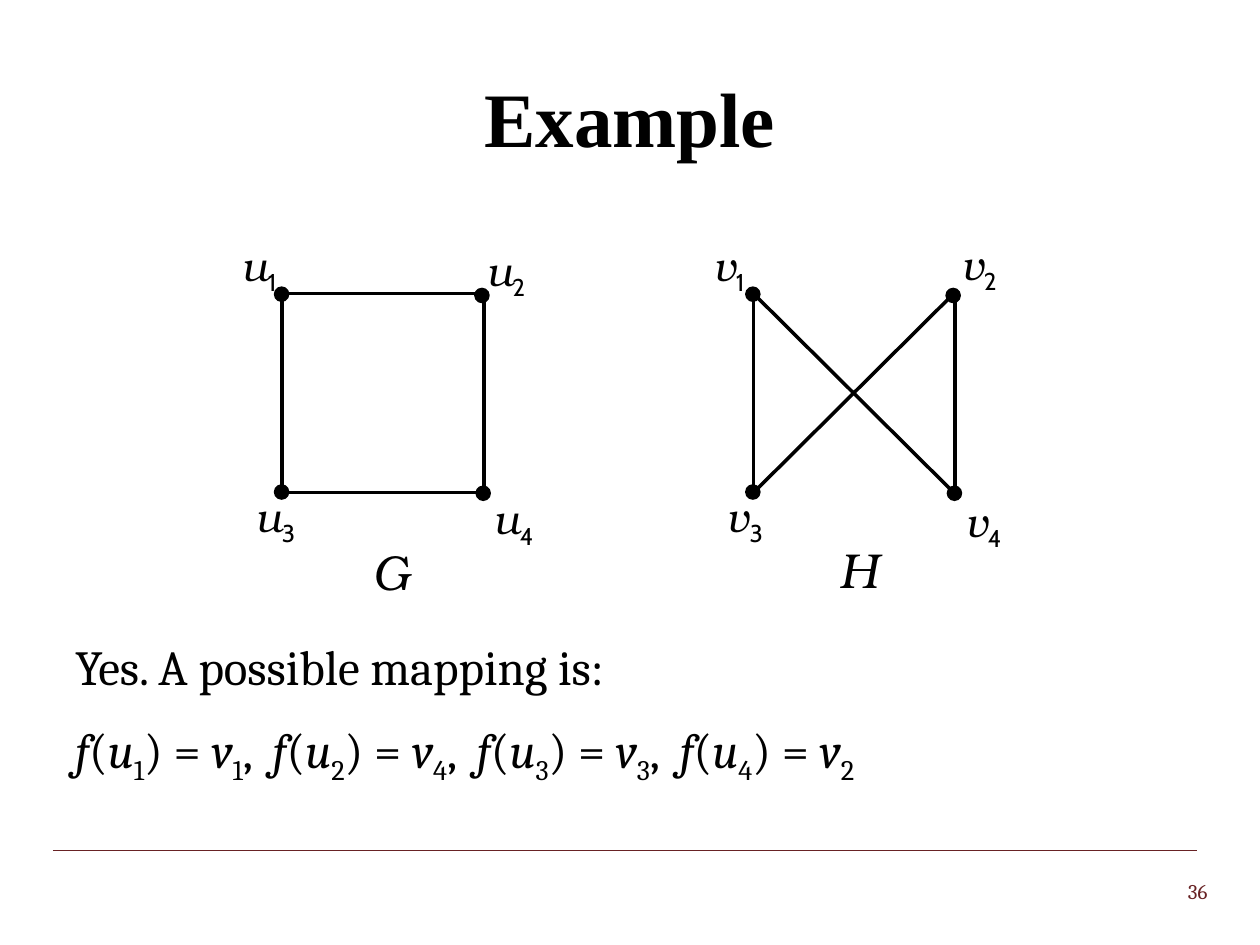
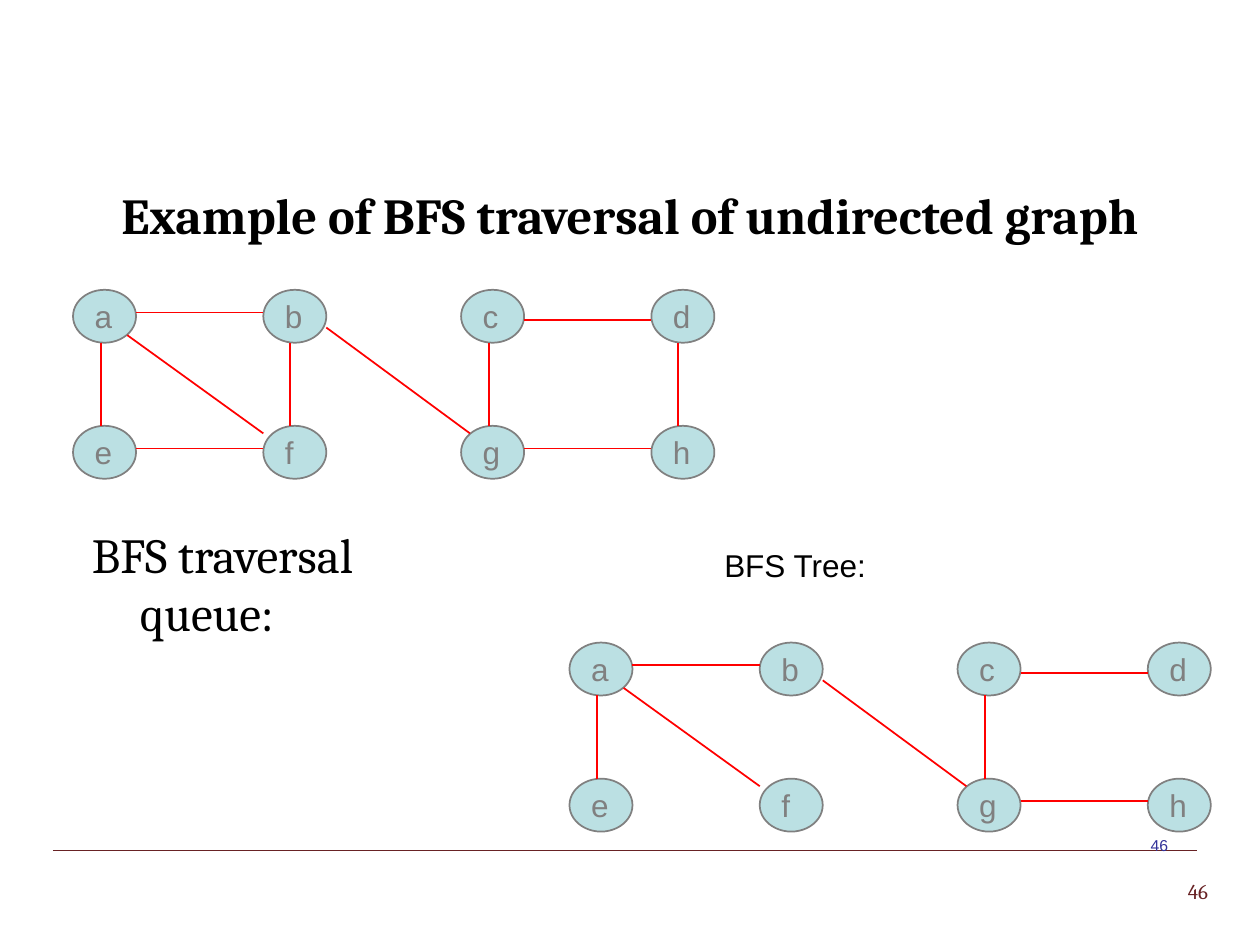
"""Build two graph theory slides: an isomorphism example and a BFS traversal."""
from lxml.etree import SubElement
from pptx import Presentation
from pptx.dml.color import RGBColor
from pptx.enum.shapes import MSO_CONNECTOR, MSO_SHAPE
from pptx.enum.text import MSO_ANCHOR, MSO_AUTO_SIZE, PP_ALIGN
from pptx.oxml.ns import qn
from pptx.util import Inches, Pt

BLACK = RGBColor(0x00, 0x00, 0x00)
MAROON = RGBColor(0x68, 0x22, 0x24)
NAVY = RGBColor(0x33, 0x33, 0x99)
GRAY = RGBColor(0x80, 0x80, 0x80)
PALE_TEAL = RGBColor(0xBB, 0xE0, 0xE3)
RED = RGBColor(0xFF, 0x00, 0x00)

SERIF = "Cambria"
SANS = "Arial"
MATH = "TeX Gyre Bonum"
SUBSCRIPT = "Cabin"

GRAPH_ORIGIN = (2.18, 2.28)
GRAPH_STEP = 3.74
VERTICES = [(0, 0), (1.59, 0.01), (0, 1.57), (1.6, 1.58)]
SIDES = [(0.06, 0.06, 0.06, 1.61), (1.66, 0.08, 1.66, 1.63)]
GRAPHS = [
    {
        "letter": "u",
        "edges": SIDES + [(1.65, 1.63, 0.06, 1.63), (1.65, 0.05, 0.06, 0.05)],
        "labels": [(-0.26, -0.38), (1.68, -0.34), (-0.15, 1.61), (1.74, 1.63)],
        "name": ("G", 2.96, 4.3),
    },
    {
        "letter": "v",
        "edges": SIDES + [(1.66, 0.04, 0.06, 1.63), (1.64, 1.62, 0.06, 0.05)],
        "labels": [(-0.26, -0.38), (1.71, -0.39), (-0.15, 1.61), (1.74, 1.65)],
        "name": ("H", 6.66, 4.28),
    },
]
MAPPING = {"1": "1", "2": "4", "3": "3", "4": "2"}

NODE_COLUMNS = [0, 1.51, 3.08, 4.59]
NODE_ROWS = {"abcd": 0, "efgh": 1.08}
BFS_EDGES = {
    "ab": (0.5, 0.18, 1.51, 0.18),
    "ae": (0.22, 0.42, 0.22, 1.08),
    "ef": (0.5, 1.26, 1.51, 1.26),
    "bf": (1.72, 0.42, 1.72, 1.08),
    "af": (0.43, 0.36, 1.51, 1.14),
    "cg": (3.3, 0.42, 3.3, 1.08),
    "gh": (3.58, 1.26, 4.59, 1.26),
    "dh": (4.8, 0.42, 4.8, 1.08),
    "cd": (3.58, 0.24, 4.59, 0.24),
    "bg": (2.01, 0.3, 3.15, 1.14),
}
TREE_EDGES = ["ab", "ae", "af", "cg", "gh", "cd", "bg"]


class Deck:
    """Holds the shared style and the slide being built."""

    def __init__(self):
        self.presentation = Presentation()
        self.presentation.slide_width = Inches(10)
        self.presentation.slide_height = Inches(7.5)
        self.slide = None

    def start_slide(self, layout, number):
        self.slide = self.presentation.slides.add_slide(
            self.presentation.slide_layouts[layout])
        self.line(0.42, 6.75, 9.5, 6.75, MAROON, 0.75)
        self.text(number, 9.33, 6.92, 0.4, 0.3, SERIF, 12, MAROON, wrap=False)

    def style(self, paragraph, font, size, color, bold=None):
        paragraph.font.name = font
        paragraph.font.size = Pt(size)
        paragraph.font.color.rgb = color
        paragraph.font.bold = bold

    def place(self, shape, left, top, width, height):
        shape.left, shape.top = Inches(left), Inches(top)
        shape.width, shape.height = Inches(width), Inches(height)

    def title(self, words, left, top, width, height, font, size):
        shape = self.slide.shapes.title
        self.place(shape, left, top, width, height)
        frame = shape.text_frame
        frame.text = words
        frame.auto_size = MSO_AUTO_SIZE.NONE
        frame.vertical_anchor = MSO_ANCHOR.MIDDLE
        frame.paragraphs[0].alignment = PP_ALIGN.CENTER
        self.style(frame.paragraphs[0], font, size, BLACK, True)

    def body(self, words, left, top, width, height):
        shape = self.slide.placeholders[1]
        self.place(shape, left, top, width, height)
        frame = shape.text_frame
        frame.text = words
        frame.auto_size = MSO_AUTO_SIZE.NONE
        paragraph = frame.paragraphs[0]
        paragraph.space_before = Pt(0)
        properties = paragraph._p.get_or_add_pPr()
        properties.set("marL", str(Inches(0.38)))
        properties.set("indent", str(-Inches(0.38)))
        SubElement(properties, qn("a:buNone"))
        self.style(paragraph, SERIF, 28, BLACK)

    def text(self, words, left, top, width, height, font, size, color=BLACK,
             wrap=True, anchor=MSO_ANCHOR.TOP, align=PP_ALIGN.LEFT):
        box = self.slide.shapes.add_textbox(
            Inches(left), Inches(top), Inches(width), Inches(height))
        frame = box.text_frame
        frame.text = words
        frame.word_wrap = wrap
        frame.vertical_anchor = anchor
        paragraph = frame.paragraphs[0]
        paragraph.alignment = align
        self.style(paragraph, font, size, color)
        return frame

    def run(self, paragraph, words, italic=False, subscript=False, spacing=0):
        run = paragraph.add_run()
        run.text = words
        run.font.italic = italic
        properties = run._r.get_or_add_rPr()
        if subscript:
            properties.set("baseline", "-25000")
        if spacing:
            properties.set("spc", str(spacing))
        return run

    def math_label(self, letter, left, top, width, height, size, index=""):
        frame = self.text("", left, top, width, height, MATH, size)
        frame.margin_left = frame.margin_right = 0
        frame.margin_top = frame.margin_bottom = 0
        paragraph = frame.paragraphs[0]
        self.run(paragraph, letter, italic=True)
        if index:
            self.run(paragraph, index, subscript=True).font.name = SUBSCRIPT

    def mapping(self, paragraph):
        for position, (source, target) in enumerate(MAPPING.items()):
            if position:
                self.run(paragraph, ", ", spacing=300)
            self.run(paragraph, "f", italic=True)
            self.run(paragraph, "(")
            self.run(paragraph, "u", italic=True)
            self.run(paragraph, source, subscript=True)
            self.run(paragraph, ") = ")
            self.run(paragraph, "v", italic=True)
            self.run(paragraph, target, subscript=True)

    def line(self, x1, y1, x2, y2, color, width):
        connector = self.slide.shapes.add_connector(
            MSO_CONNECTOR.STRAIGHT, Inches(x1), Inches(y1), Inches(x2), Inches(y2))
        connector.line.color.rgb = color
        connector.line.width = Pt(width)
        SubElement(connector._element.spPr, qn("a:effectLst"))

    def edge(self, origin, ends, color, width):
        x, y = origin
        x1, y1, x2, y2 = ends
        self.line(x + x1, y + y1, x + x2, y + y2, color, width)

    def ellipse(self, left, top, width, height, fill, outline):
        shape = self.slide.shapes.add_shape(
            MSO_SHAPE.OVAL, Inches(left), Inches(top), Inches(width), Inches(height))
        shape.shadow.inherit = False
        shape.fill.solid()
        shape.fill.fore_color.rgb = fill
        shape.line.color.rgb = outline
        shape.line.width = Pt(1)
        return shape

    def node(self, letter, left, top):
        frame = self.ellipse(left, top, 0.5, 0.42, PALE_TEAL, GRAY).text_frame
        frame.text = letter
        frame.word_wrap = False
        frame.vertical_anchor = MSO_ANCHOR.MIDDLE
        frame.paragraphs[0].alignment = PP_ALIGN.LEFT
        self.style(frame.paragraphs[0], SANS, 18, GRAY)

    def vertex_graph(self, origin, graph):
        x, y = origin
        for dx, dy in VERTICES:
            self.ellipse(x + dx, y + dy, 0.11, 0.11, BLACK, BLACK)
        for ends in graph["edges"]:
            self.edge(origin, ends, BLACK, 2)
        for index, (dx, dy) in enumerate(graph["labels"], 1):
            self.math_label(graph["letter"], x + dx, y + dy, 0.5, 0.39, 24, str(index))
        name, left, top = graph["name"]
        self.math_label(name, left, top, 0.32, 0.45, 28)

    def node_graph(self, origin, edges):
        x, y = origin
        for letters, dy in NODE_ROWS.items():
            for letter, dx in zip(letters, NODE_COLUMNS):
                self.node(letter, x + dx, y + dy)
        for edge in edges:
            self.edge(origin, BFS_EDGES[edge], RED, 1)


def build_isomorphism(deck):
    deck.start_slide(5, "36")
    deck.title("Example", 0.5, 0.3, 9, 1.25, "Times New Roman", 44)
    x, y = GRAPH_ORIGIN
    for position, graph in enumerate(GRAPHS):
        deck.vertex_graph((x + position * GRAPH_STEP, y), graph)
    frame = deck.text("Yes. A possible mapping is:", 0.5, 5, 9, 1.28, SERIF, 28)
    paragraph = frame.add_paragraph()
    paragraph.space_before = Pt(14)
    deck.style(paragraph, SERIF, 28, BLACK)
    deck.mapping(paragraph)


def build_traversal(deck):
    deck.start_slide(1, "46")
    deck.title("Example of BFS traversal of undirected graph",
               0.46, 1.33, 9.08, 0.75, SERIF, 28.8)
    deck.body("BFS traversal queue:", 0.63, 4.11, 3.33, 0.58)
    deck.text("46", 8.53, 6.51, 0.84, 0.4, SANS, 9, NAVY,
              anchor=MSO_ANCHOR.MIDDLE, align=PP_ALIGN.RIGHT)
    deck.node_graph((0.58, 2.3), BFS_EDGES)
    deck.text("BFS Tree:", 5.65, 4.19, 3.33, 0.58, SANS, 18, anchor=MSO_ANCHOR.MIDDLE)
    deck.node_graph((4.52, 5.1), TREE_EDGES)


def main():
    deck = Deck()
    build_isomorphism(deck)
    build_traversal(deck)
    deck.presentation.save("out.pptx")


if __name__ == "__main__":
    main()
